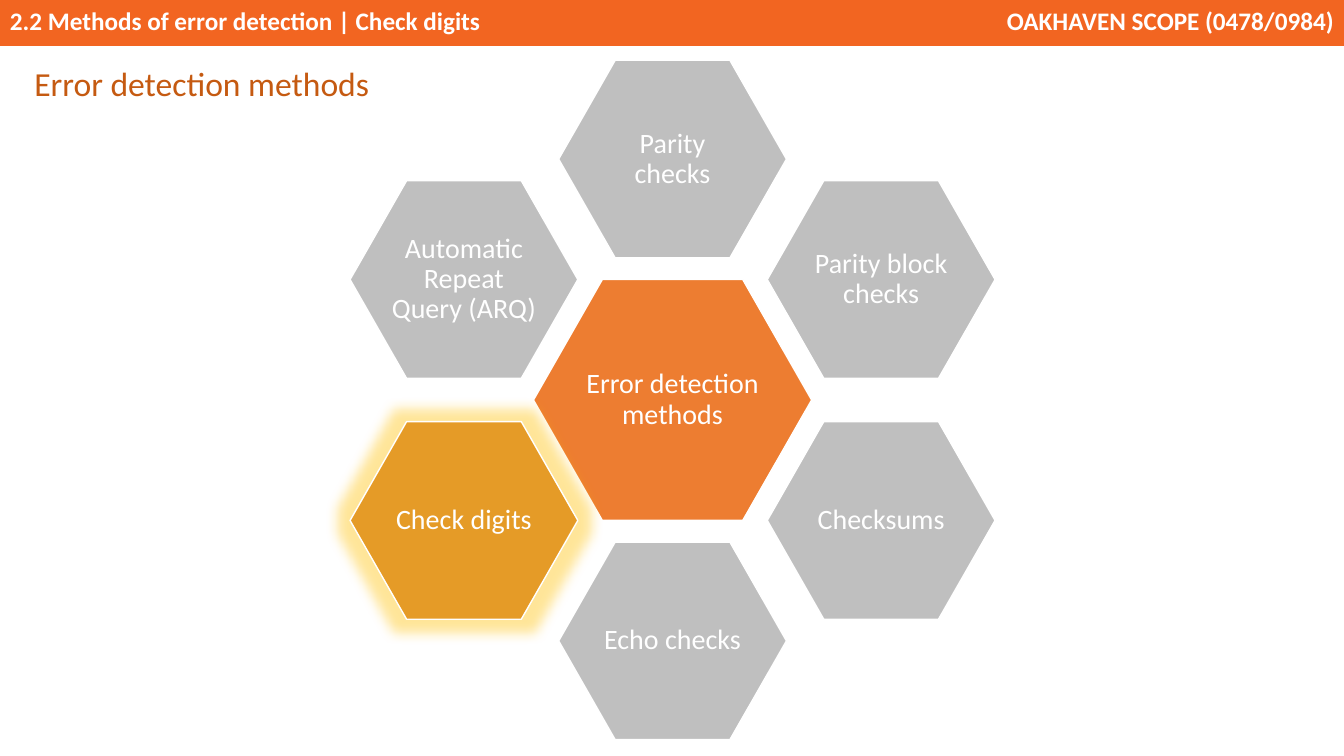
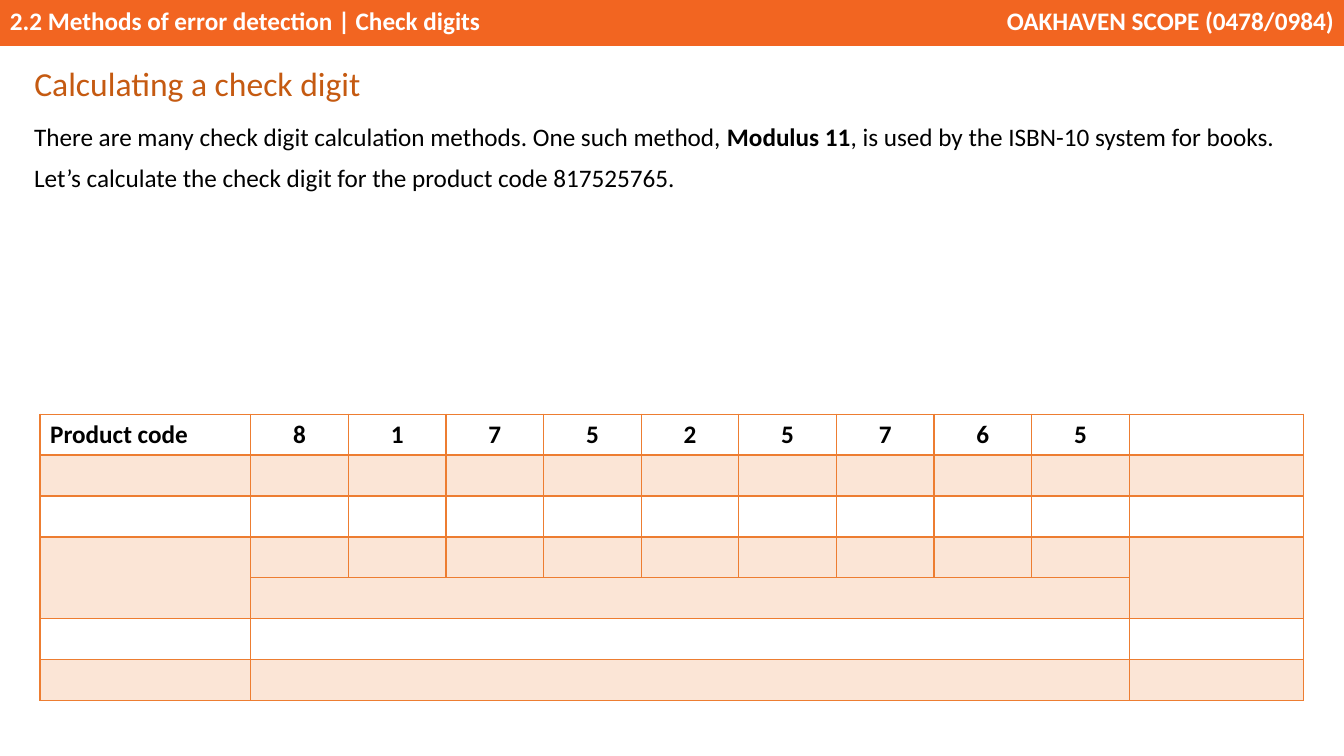
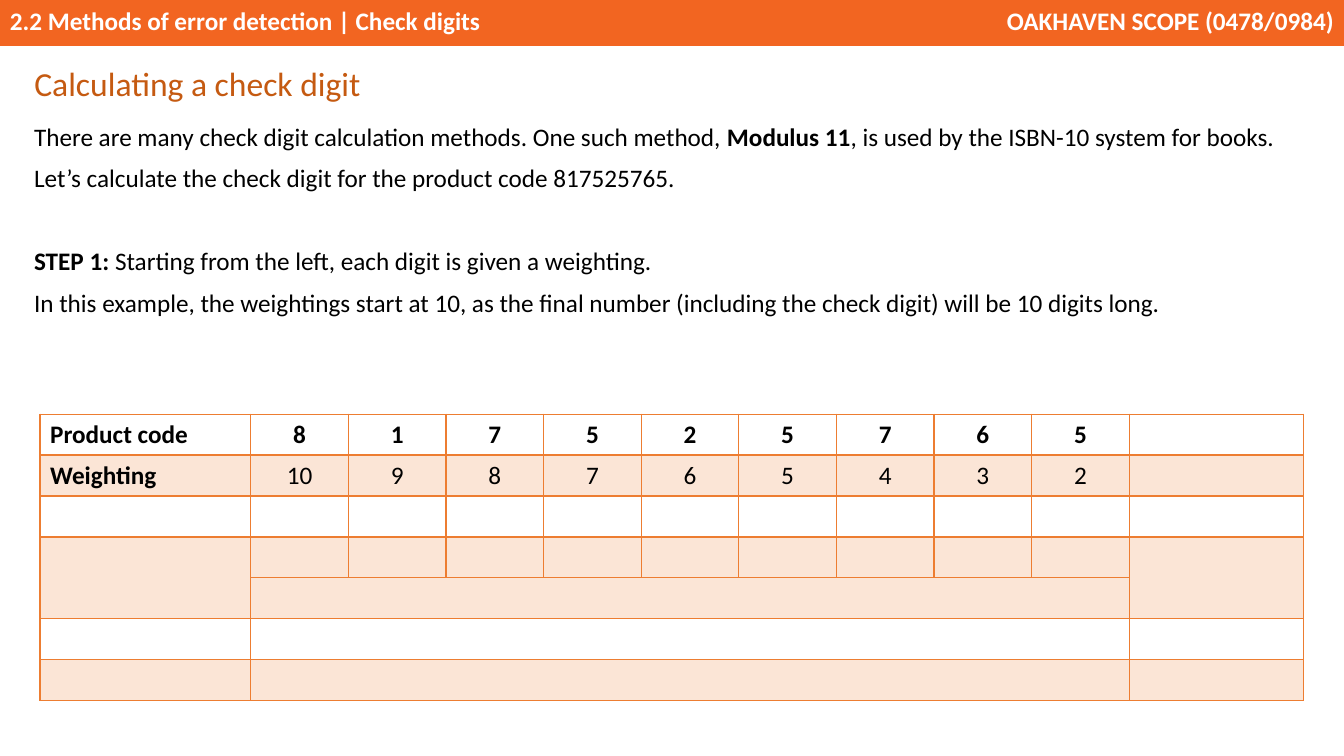
"""Build three slides on check digits as an error detection method."""
import math

import lxml.etree
import pptx
import pptx.dml.color
import pptx.enum.shapes
import pptx.enum.text
import pptx.oxml.ns
import pptx.util

Cm = pptx.util.Cm
Pt = pptx.util.Pt
ALIGN = pptx.enum.text.PP_ALIGN
ANCHOR = pptx.enum.text.MSO_ANCHOR
SHAPE = pptx.enum.shapes.MSO_SHAPE
qn = pptx.oxml.ns.qn

FONT = "Calibri"
COLORS = {
    "band": "F26521",
    "title": "C55A11",
    "accent": "ED7D31",
    "tint": "FBE5D6",
    "muted": "BFBFBF",
    "highlight": "E59B27",
    "glow": "FFC000",
    "white": "FFFFFF",
    "black": "000000",
}
PAGE_WIDTH, PAGE_HEIGHT = 33.87, 19.05
TABLE_BOX = (1.01, 10.44, 31.84, 7.21)
LABEL_WIDTH, DIGIT_WIDTH, TOTAL_WIDTH = 5.31, 2.46, 4.39
ROW_COUNT, COLUMN_COUNT = 7, 11
TINTED_ROWS = (1, 3, 4, 6)
MERGES = [(3, 0, 4, 0), (3, 10, 4, 10)] + [(row, 1, row, 9) for row in (4, 5, 6)]

METHODS = [
    "Parity checks",
    "Parity block checks",
    "Checksums",
    "Echo checks",
    "Check digits",
    "Automatic Repeat Query (ARQ)",
]
PRODUCT_CODE = ["**Product code**"] + [f"**{digit}**" for digit in "817525765"]
WEIGHTING = ["**Weighting**"] + [str(weight) for weight in range(10, 1, -1)]
INTRO = [
    ("There are many check digit calculation methods. One such method, **Modulus 11**, "
     "is used by the ISBN-10 system for books.", 0),
    ("Let’s calculate the check digit for the product code 817525765.", 0),
]
STEP_ONE = [
    ("**STEP 1: **Starting from the left, each digit is given a weighting.", 30),
    ("In this example, the weightings start at 10, as the final number "
     "(including the check digit) will be 10 digits long.", 0),
]


def rgb(name):
    """Return the named colour."""
    return pptx.dml.color.RGBColor.from_string(COLORS[name])


def write_text(para, text, size=18, color="black", align=ALIGN.LEFT,
               spacing=1.0, before=0, after=0):
    """Fill a paragraph with text, where double asterisks enclose bold spans."""
    para.alignment = align
    para.line_spacing = spacing
    para.space_before = Pt(before)
    para.space_after = Pt(after)
    for index, part in enumerate(text.split("**")):
        if part:
            span = para.add_run()
            span.text = part
            span.font.name = FONT
            span.font.size = Pt(size)
            span.font.bold = index % 2 == 1
            span.font.color.rgb = rgb(color)


def add_filled_shape(page, kind, box, fill, line=None):
    """Add a flat preset shape with a fill and an optional outline."""
    shape = page.shapes.add_shape(kind, *map(Cm, box))
    shape.shadow.inherit = False
    shape.fill.solid()
    shape.fill.fore_color.rgb = rgb(fill)
    if line:
        shape.line.color.rgb = rgb(line)
        shape.line.width = Pt(1)
    else:
        shape.line.fill.background()
    return shape


def add_bands(page):
    """Add the two header bands along the top of a page."""
    right_width = 8.89
    bands = [
        (0, 28.04, "**2.2 Methods of error detection | Check digits**", ALIGN.LEFT),
        (PAGE_WIDTH - right_width, right_width, "**OAKHAVEN SCOPE (0478/0984)**", ALIGN.RIGHT),
    ]
    for left, width, text, align in bands:
        band = add_filled_shape(page, SHAPE.RECTANGLE, (left, 0, width, 1.16), "band")
        band.text_frame.vertical_anchor = ANCHOR.TOP
        write_text(band.text_frame.paragraphs[0], text, color="white", align=align)


def add_page(deck, title, title_width=14.71):
    """Add a page with the header bands and a formatted title."""
    page = deck.slides.add_slide(deck.slide_layouts[5])
    add_bands(page)
    box = page.shapes.title
    box.left, box.top, box.width, box.height = map(Cm, (0.61, 1.38, title_width, 1.3))
    frame = box.text_frame
    frame.word_wrap = True
    frame.auto_size = pptx.enum.text.MSO_AUTO_SIZE.NONE
    frame.vertical_anchor = ANCHOR.TOP
    write_text(frame.paragraphs[0], title, size=24, color="title", spacing=1.07, after=8)
    return page


def add_hexagon(page, center, size, text, fill):
    """Add a labelled hexagon around a center point."""
    box = (center[0] - size[0] / 2, center[1] - size[1] / 2, *size)
    hexagon = add_filled_shape(page, SHAPE.HEXAGON, box, fill, line="white")
    hexagon.adjustments[0] = 0.286
    frame = hexagon.text_frame
    frame.word_wrap = True
    frame.vertical_anchor = ANCHOR.MIDDLE
    frame.margin_left = frame.margin_right = Cm(0.08)
    frame.margin_top = frame.margin_bottom = Cm(0.08)
    write_text(frame.paragraphs[0], text, size=20, color="white",
               align=ALIGN.CENTER, spacing=0.9)
    return hexagon


def add_glow(shape):
    """Put a soft golden glow around a shape."""
    effects = shape.element.spPr.find(qn("a:effectLst"))
    glow = lxml.etree.SubElement(effects, qn("a:glow"), rad=str(Pt(18)))
    color = lxml.etree.SubElement(glow, qn("a:srgbClr"), val=COLORS["glow"])
    lxml.etree.SubElement(color, qn("a:alpha"), val="40000")


def add_method_ring(page, box, chosen):
    """Add the central hexagon and a ring of methods, with the chosen one glowing."""
    left, top, width, height = box
    center = (left + width / 2, top + height / 2)
    radius = 6.07
    add_hexagon(page, center, (7.01, 6.07), "Error detection methods", "accent")
    for index, method in enumerate(METHODS):
        angle = math.radians(60 * index)
        spot = (center[0] + radius * math.sin(angle), center[1] - radius * math.cos(angle))
        fill = "highlight" if method == chosen else "muted"
        hexagon = add_hexagon(page, spot, (5.74, 4.98), method, fill)
        if method == chosen:
            add_glow(hexagon)


def add_body(page, box, paragraphs):
    """Add the explanation as paragraphs of text and space before."""
    frame = page.shapes.add_textbox(*map(Cm, box)).text_frame
    frame.word_wrap = True
    for index, (text, before) in enumerate(paragraphs):
        para = frame.add_paragraph() if index else frame.paragraphs[0]
        write_text(para, text, before=before, after=8)


def set_borders(cell, top, bottom):
    """Draw the four borders of a cell, with given top and bottom widths."""
    properties = cell._tc.get_or_add_tcPr()
    for side, width in (("L", 1), ("R", 1), ("T", top), ("B", bottom)):
        line = lxml.etree.SubElement(properties, qn(f"a:ln{side}"), w=str(Pt(width)))
        fill = lxml.etree.SubElement(line, qn("a:solidFill"))
        lxml.etree.SubElement(fill, qn("a:srgbClr"), val=COLORS["accent"])


def add_digit_table(page, box, rows):
    """Add the working table and fill its first rows."""
    table = page.shapes.add_table(ROW_COUNT, COLUMN_COUNT, *map(Cm, box)).table
    table.first_row = table.horz_banding = False
    widths = [LABEL_WIDTH] + [DIGIT_WIDTH] * 9 + [TOTAL_WIDTH]
    for column, width in zip(table.columns, widths):
        column.width = Cm(width)
    for index, row in enumerate(table.rows):
        row.height = Cm(box[3] / ROW_COUNT)
        for cell in row.cells:
            set_borders(cell, 2 if index == 1 else 1, 2 if index == 0 else 1)
            cell.fill.solid()
            cell.fill.fore_color.rgb = rgb("tint" if index in TINTED_ROWS else "white")
    for top, left, bottom, right in MERGES:
        table.cell(top, left).merge(table.cell(bottom, right))
    for row_index, texts in enumerate(rows):
        for column_index, text in enumerate(texts):
            para = table.cell(row_index, column_index).text_frame.paragraphs[0]
            write_text(para, text, align=ALIGN.CENTER if column_index else ALIGN.LEFT)


def add_calculation_page(deck, title_width, body_box, paragraphs, rows):
    """Add a page that explains one stage of the calculation."""
    page = add_page(deck, "Calculating a check digit", title_width)
    add_body(page, body_box, paragraphs)
    add_digit_table(page, TABLE_BOX, rows)


def main():
    """Build and save the deck."""
    deck = pptx.Presentation()
    deck.slide_width, deck.slide_height = Cm(PAGE_WIDTH), Cm(PAGE_HEIGHT)
    overview = add_page(deck, "Error detection methods")
    add_method_ring(overview, (8.8, 1.53, 16.3, 17.1), "Check digits")
    add_calculation_page(deck, 14.71, (0.61, 2.92, 32.66, 2.08), INTRO, [PRODUCT_CODE])
    add_calculation_page(deck, 18.47, (0.61, 2.92, 32.23, 5.23), INTRO + STEP_ONE,
                         [PRODUCT_CODE, WEIGHTING])
    deck.save("out.pptx")


if __name__ == "__main__":
    main()
